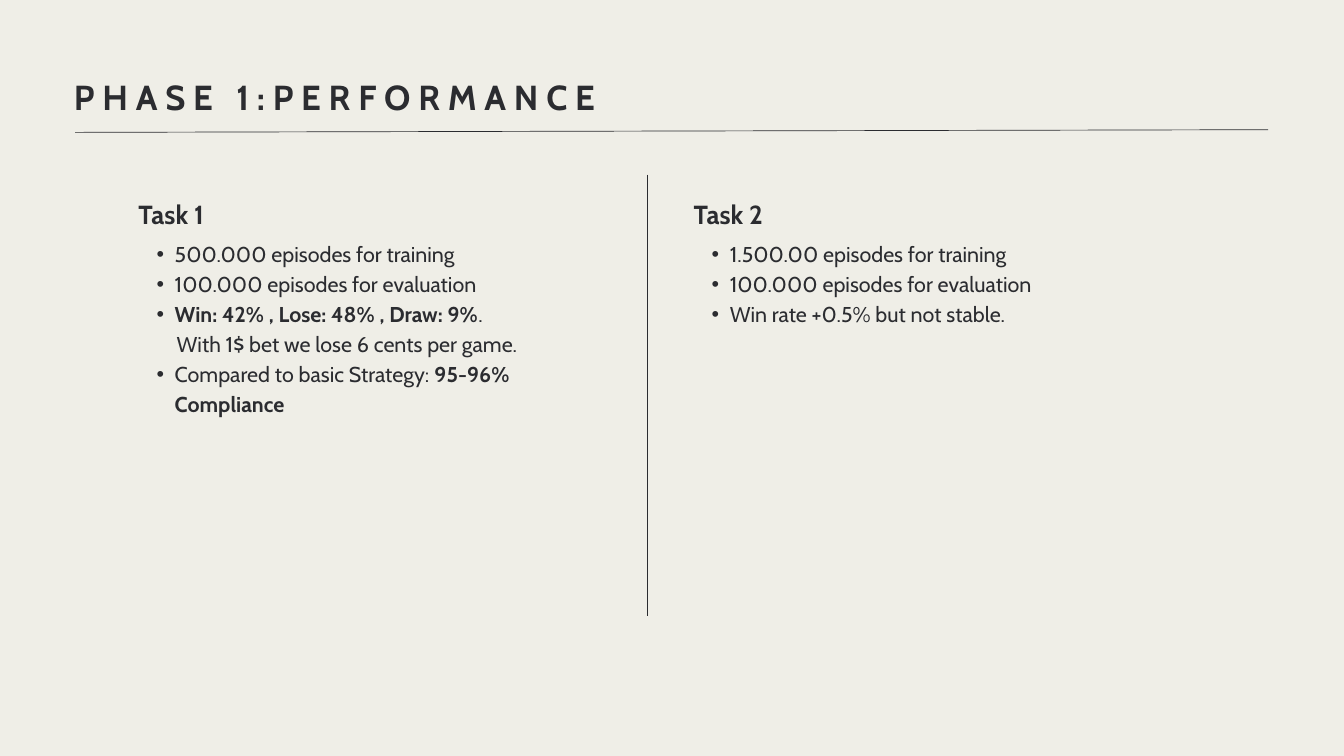
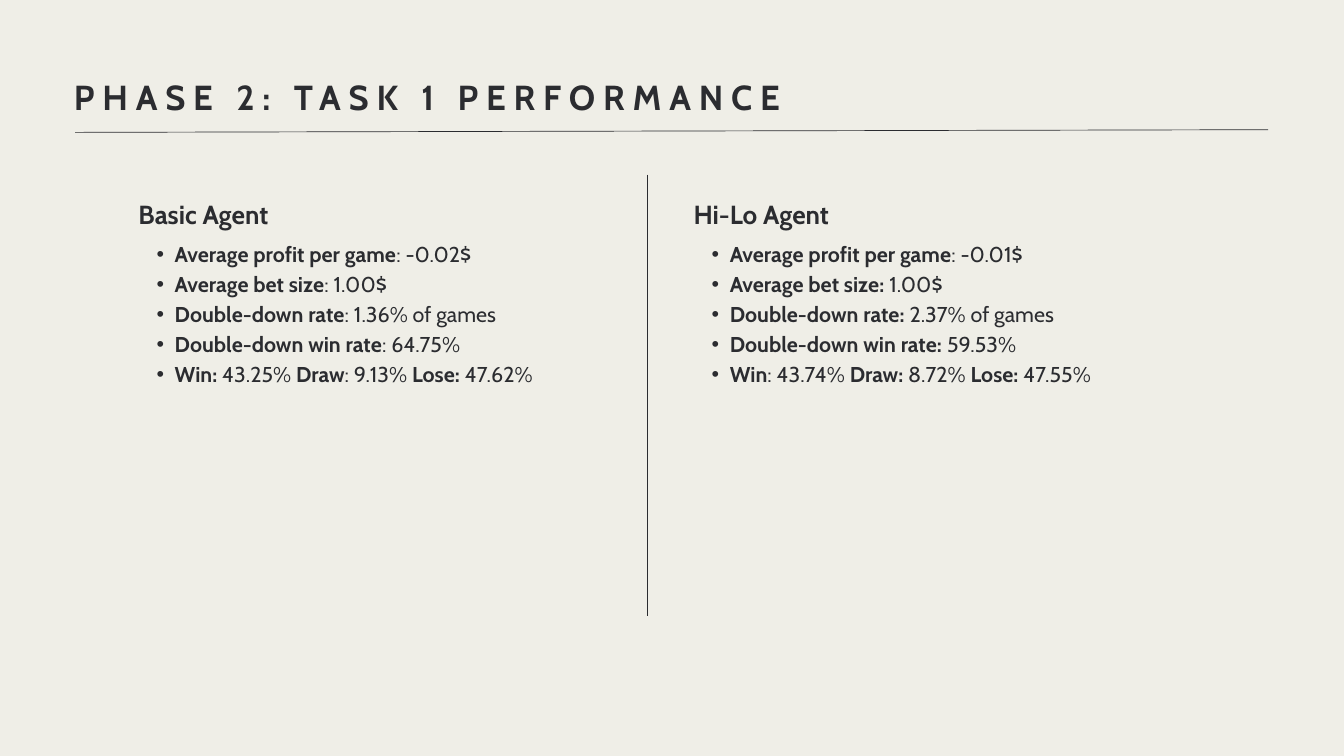
import pptx
import pptx.util
import pptx.dml.color
import pptx.enum.text
import pptx.enum.shapes
import lxml.etree
import pptx.oxml.ns

INK = pptx.dml.color.RGBColor(0x2B, 0x2C, 0x30)
PAPER = pptx.dml.color.RGBColor(0xEF, 0xEE, 0xE7)
FONT = "Cabin"
LEAD = 1.4  # line height as a share of type size
INCH = pptx.util.Inches
QN = pptx.oxml.ns.qn

# Grid, in inches
WIDE, HIGH = 20, 11.25
COLS = [(2.06, 6.89), (10.32, 7.45)]  # left, width
HEAD, LIST = 2.87, 3.52  # row tops
LINES = [(1.12, 1.97, 18.87, 1.93), (9.64, 2.6, 9.64, 9.17)]

# Slide title, then heading and list of each column.
# Stars switch bold on and off; a leading ">" marks a line with no bullet.
PAGES = [
    ("PHASE 1:PERFORMANCE", [
        ("Task 1", [
            "500.000 episodes for training",
            "100.000 episodes for evaluation",
            "*Win: 42% , Lose: 48% , Draw: 9%*.",
            ">With 1$ bet we lose 6 cents per game.",
            "Compared to basic Strategy: *95-96% Compliance*"]),
        ("Task 2", [
            "1.500.00 episodes for training",
            "100.000 episodes for evaluation",
            "Win rate +0.5% but not stable."])]),
    ("PHASE 2: TASK 1 PERFORMANCE", [
        ("Basic Agent", [
            "*Average profit per game*: -0.02$",
            "*Average bet size*: 1.00$",
            "*Double-down rate*: 1.36% of games",
            "*Double-down win rate*: 64.75%",
            "*Win:* 43.25% *Draw*: 9.13% *Lose:* 47.62%"]),
        ("Hi-Lo Agent", [
            "*Average profit per game*: -0.01$",
            "*Average bet size:* 1.00$",
            "*Double-down rate:* 2.37% of games",
            "*Double-down win rate:* 59.53%",
            "*Win*: 43.74% *Draw: *8.72% *Lose: *47.55%"])]),
]


def write(shape, lines, size, bold=False, track=0, dots=False):
    """Fill a shape with lines of text in the deck's style."""
    frame = shape.text_frame
    frame.word_wrap = True
    frame.auto_size = pptx.enum.text.MSO_AUTO_SIZE.NONE
    frame.vertical_anchor = pptx.enum.text.MSO_ANCHOR.TOP
    frame.margin_left = frame.margin_right = 0
    frame.margin_top = frame.margin_bottom = 0
    for row, line in enumerate(lines):
        para = frame.add_paragraph() if row else frame.paragraphs[0]
        para.alignment = pptx.enum.text.PP_ALIGN.LEFT
        para.line_spacing = pptx.util.Pt(round(size * LEAD, 1))
        para.space_before = pptx.util.Pt(0)
        props = para._p.get_or_add_pPr()
        if line.startswith(">"):
            props.set("marL", str(INCH(0.57)))
        elif dots:
            props.set("marL", str(INCH(0.54)))
            props.set("indent", str(INCH(-0.27)))
            tint = lxml.etree.SubElement(props, QN("a:buClr"))
            lxml.etree.SubElement(tint, QN("a:srgbClr"), val=str(INK))
            lxml.etree.SubElement(props, QN("a:buFont"), typeface="Arial")
            lxml.etree.SubElement(props, QN("a:buChar"), char="•")
        for turn, part in enumerate(line.lstrip(">").split("*")):
            if part:
                run = para.add_run()
                run.text = part
                run.font.name = FONT
                run.font.size = pptx.util.Pt(size)
                run.font.bold = bold or turn % 2 == 1
                run.font.color.rgb = INK
                if track:
                    run.font._element.set("spc", str(round(track * 100)))


deck = pptx.Presentation()
deck.slide_width, deck.slide_height = INCH(WIDE), INCH(HIGH)
paper = deck.slide_master.background.fill
paper.solid()
paper.fore_color.rgb = PAPER

for name, tasks in PAGES:
    slide = deck.slides.add_slide(deck.slide_layouts[5])

    # Title
    title = slide.shapes.title
    title.left, title.top = INCH(1.1), INCH(1.03)
    title.width, title.height = INCH(17.75), INCH(0.72)
    write(title, [name], 37.2, bold=True, track=8.4)

    # Rule under the title and divider between the columns
    for ends in LINES:
        rule = slide.shapes.add_connector(
            pptx.enum.shapes.MSO_CONNECTOR.STRAIGHT, *map(INCH, ends))
        rule.line.color.rgb = INK
        rule.line.width = pptx.util.Pt(0.75)
        lxml.etree.SubElement(rule._element.spPr, QN("a:effectLst"))

    # Heading and list in each column
    for (left, width), (head, facts) in zip(COLS, tasks):
        box = slide.shapes.add_textbox(
            INCH(left), INCH(HEAD), INCH(width), INCH(0.54))
        write(box, [head], 28, bold=True)
        tall = (len(facts) + 1) * 23 * LEAD / 72
        box = slide.shapes.add_textbox(
            INCH(left), INCH(LIST), INCH(width), INCH(tall))
        write(box, facts, 23, dots=True)

deck.save("out.pptx")
